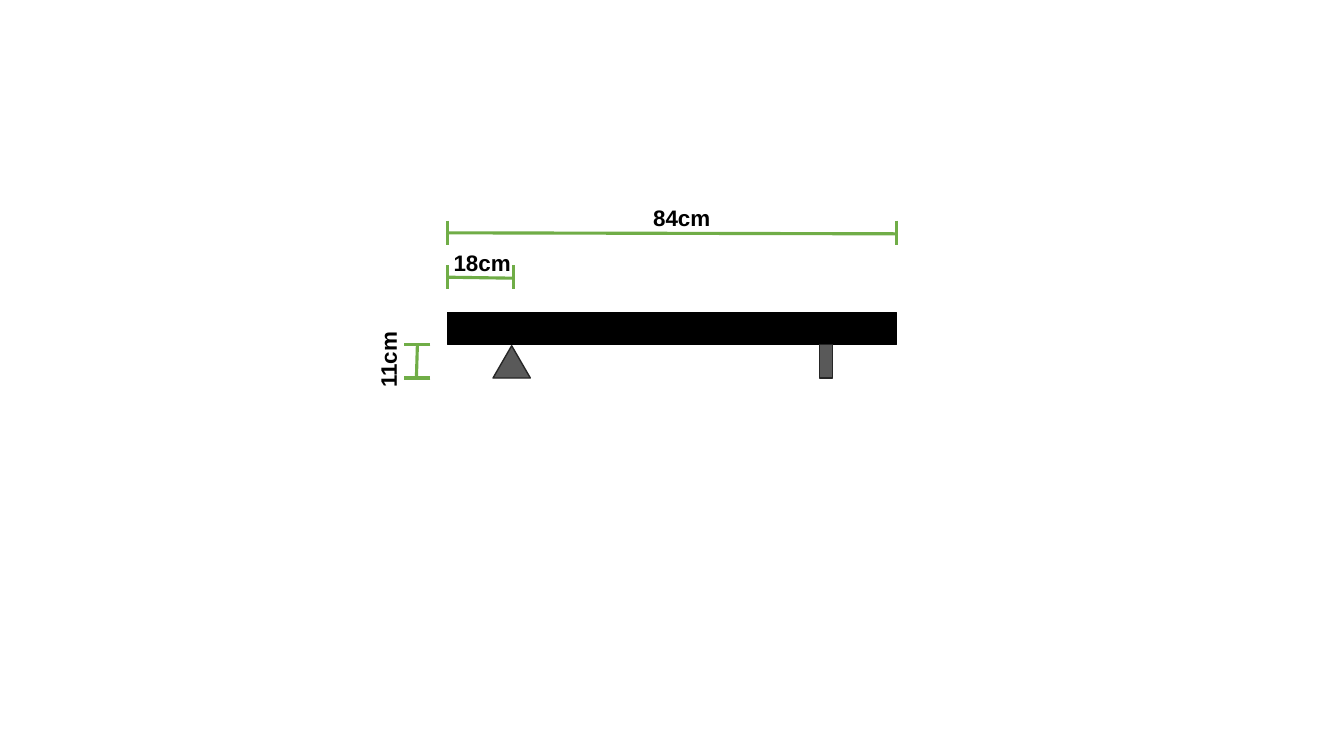
from pptx import Presentation, util as u
from pptx.dml.color import RGBColor
from pptx.enum import shapes, text
from pptx.oxml.ns import qn
from lxml import etree

BLACK = RGBColor(0x00, 0x00, 0x00)
GREY = RGBColor(0x59, 0x59, 0x59)
DARK = RGBColor(0x26, 0x26, 0x26)
GREEN = RGBColor(0x70, 0xAD, 0x47)


def add_block(s, kind, x, y, w, h, fill, edge):
    sp = s.shapes.add_shape(kind, *map(u.Inches, (x, y, w, h)))
    sp.shadow.inherit = False
    sp.fill.solid()
    sp.fill.fore_color.rgb = fill
    sp.line.color.rgb = edge
    sp.line.width = u.Pt(1)


def add_line(s, x1, y1, x2, y2):
    ln = s.shapes.add_connector(shapes.MSO_CONNECTOR.STRAIGHT,
                                *map(u.Inches, (x1, y1, x2, y2)))
    ln.line.color.rgb = GREEN
    ln.line.width = u.Pt(2.25)
    etree.SubElement(ln._element.spPr, qn("a:effectLst"))


def add_label(s, x, y, label, rotation=0):
    tb = s.shapes.add_textbox(*map(u.Inches, (x, y, 0.8, 0.37)))
    tb.rotation = rotation
    tf = tb.text_frame
    tf.word_wrap = True
    tf.auto_size = text.MSO_AUTO_SIZE.SHAPE_TO_FIT_TEXT
    p = tf.paragraphs[0]
    p.text = label
    p.font.name = "Arial"
    p.font.size = u.Pt(16)
    p.font.bold = True
    p.font.color.rgb = BLACK


def add_width(s, x, y, w, h, label, label_x):
    """Horizontal dimension with upright end caps and its label above."""
    mid = y + h / 2
    add_line(s, x + w, mid + 0.01, x, mid)
    for cap_x in (x, x + w):
        add_line(s, cap_x, y, cap_x, y + h)
    add_label(s, label_x, y - 0.21, label)


def add_height(s, x, y, w, h, label):
    """Vertical dimension with level end caps and its label on the left."""
    mid = x + w / 2
    add_line(s, mid - 0.01, y + h, mid, y)
    for cap_y in (y, y + h):
        add_line(s, x + w, cap_y, x, cap_y)
    add_label(s, x - 0.56, y - 0.06, label, 270)


def add_beam(s, x, y, w, h):
    """Beam resting on a pivot and a post."""
    rect = shapes.MSO_SHAPE.RECTANGLE
    add_block(s, rect, x, y, w, h, BLACK, BLACK)
    add_block(s, shapes.MSO_SHAPE.ISOSCELES_TRIANGLE,
              x + 0.45, y + h + 0.01, 0.37, 0.32, GREY, DARK)
    add_block(s, rect, x + 3.69, y + h, 0.13, 0.33, GREY, DARK)


def main():
    prs = Presentation()
    prs.slide_width, prs.slide_height = u.Inches(13.33), u.Inches(7.5)
    s = prs.slides.add_slide(prs.slide_layouts[6])
    left, beam_w = 4.44, 4.45

    # Beam and supports
    add_beam(s, left, 3.1, beam_w, 0.32)

    # Dimensions
    add_width(s, left, 2.19, beam_w, 0.24, "84cm", 6.38)
    add_width(s, left, 2.63, 0.65, 0.24, "18cm", 4.4)
    add_height(s, 4.01, 3.42, 0.26, 0.33, "11cm")

    prs.save("out.pptx")


if __name__ == "__main__":
    main()
